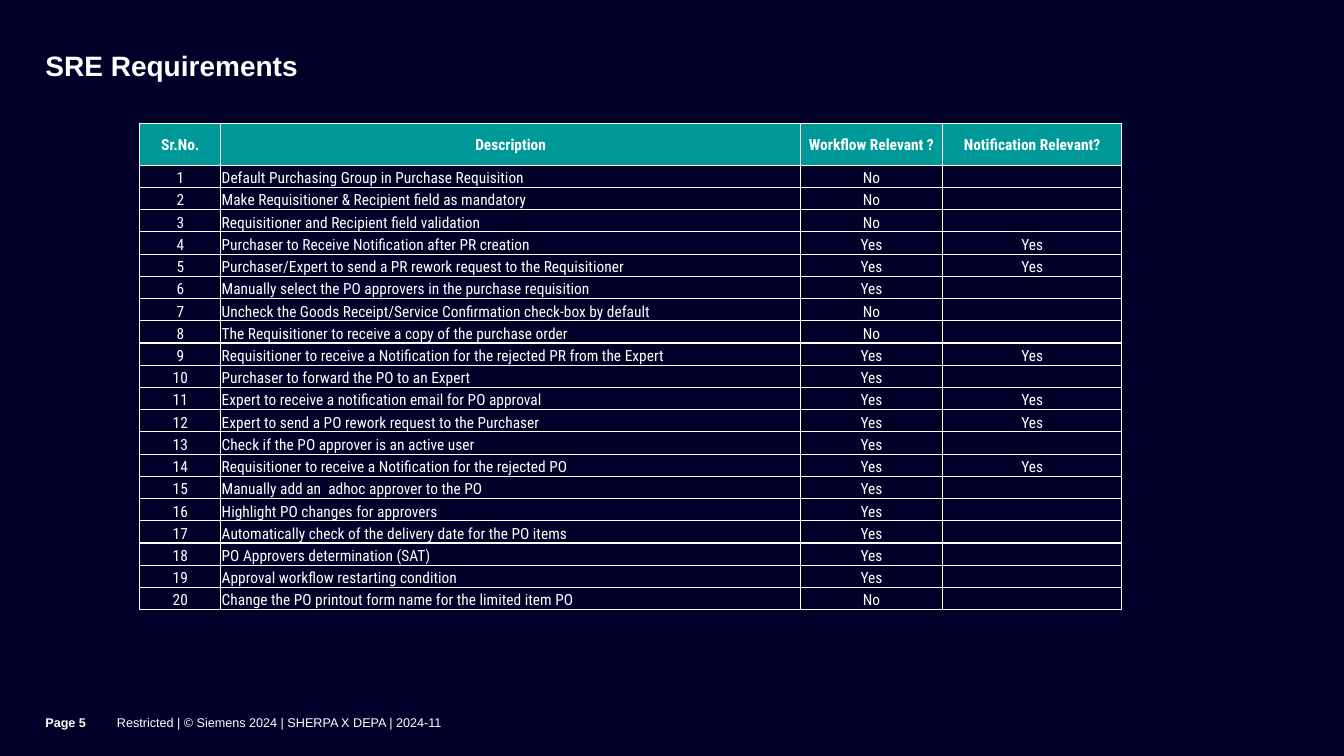
import pptx
import pptx.util
import pptx.dml.color
import pptx.enum.text
import pptx.oxml
import pptx.oxml.ns

Pt = pptx.util.Pt
RGB = pptx.dml.color.RGBColor
ALIGN = pptx.enum.text.PP_ALIGN
ANCHOR = pptx.enum.text.MSO_ANCHOR

# Content
TITLE = "SRE Requirements"
PAGE = "Page 5"
FOOTER = "Restricted | © Siemens 2024 | SHERPA X DEPA | 2024-11"
HEADS = ("Sr.No.", "Description", "Workflow Relevant ?", "Notification Relevant?")
ITEMS = [
    ("Default Purchasing Group in Purchase Requisition", "No", ""),
    ("Make Requisitioner & Recipient field as mandatory", "No", ""),
    ("Requisitioner and Recipient field validation", "No", ""),
    ("Purchaser to Receive Notification after PR creation", "Yes", "Yes"),
    ("Purchaser/Expert to send a PR rework request to the Requisitioner", "Yes", "Yes"),
    ("Manually select the PO approvers in the purchase requisition", "Yes", ""),
    ("Uncheck the Goods Receipt/Service Confirmation check-box by default", "No", ""),
    ("The Requisitioner to receive a copy of the purchase order", "No", ""),
    ("Requisitioner to receive a Notification for the rejected PR from the Expert", "Yes", "Yes"),
    ("Purchaser to forward the PO to an Expert", "Yes", ""),
    ("Expert to receive a notification email for PO approval", "Yes", "Yes"),
    ("Expert to send a PO rework request to the Purchaser", "Yes", "Yes"),
    ("Check if the PO approver is an active user", "Yes", ""),
    ("Requisitioner to receive a Notification for the rejected PO", "Yes", "Yes"),
    ("Manually add an  adhoc approver to the PO", "Yes", ""),
    ("Highlight PO changes for approvers", "Yes", ""),
    ("Automatically check of the delivery date for the PO items", "Yes", ""),
    ("PO Approvers determination (SAT)", "Yes", ""),
    ("Approval workflow restarting condition", "Yes", ""),
    ("Change the PO printout form name for the limited item PO", "No", ""),
]

# Style
NAVY = RGB(0x00, 0x00, 0x28)
TEAL = RGB(0x00, 0x99, 0x99)
WHITE = RGB(0xFF, 0xFF, 0xFF)
WIDTHS = (57.9, 414, 101.5, 128.1)
HEAD_H, ROW_H = 29.6, 15.88
LEFT, TOP = 99.9, 88.4
EDGE = 32.4


def style(para, size, face, bold):
    font = para.font
    font.size, font.name, font.bold = Pt(size), face, bold
    font.color.rgb = WHITE


def label(slide, text, box, size, bold, anchor, pads):
    frame = slide.shapes.add_textbox(*map(Pt, box)).text_frame
    frame.word_wrap = True
    frame.vertical_anchor = anchor
    frame.margin_left = frame.margin_top = 0
    frame.margin_right, frame.margin_bottom = map(Pt, pads)
    frame.text = text
    para = frame.paragraphs[0]
    style(para, size, "Arial", bold)
    return para


def border(cell):
    props = cell._tc.get_or_add_tcPr()
    for at, side in enumerate(("lnL", "lnR", "lnT", "lnB")):
        props.insert(at, pptx.oxml.parse_xml(
            f'<a:{side} {pptx.oxml.ns.nsdecls("a")} w="12700"><a:solidFill>'
            f'<a:srgbClr val="{WHITE}"/></a:solidFill></a:{side}>'))


def fill_cell(cell, text, head, align):
    cell.margin_left = cell.margin_right = cell.margin_top = Pt(0.6)
    cell.margin_bottom = 0
    cell.vertical_anchor = ANCHOR.MIDDLE if head else ANCHOR.BOTTOM
    if head:
        cell.fill.solid()
        cell.fill.fore_color.rgb = TEAL
    else:
        cell.fill.background()
    border(cell)
    para = cell.text_frame.paragraphs[0]
    para.alignment = align
    style(para, 11, "Roboto Condensed", head)
    if text:
        para.text = text
    else:
        # Keep empty cells from stretching their row
        para._p.get_or_add_endParaRPr().set("sz", "1100")


def main():
    deck = pptx.Presentation()
    deck.slide_width, deck.slide_height = Pt(960), Pt(540)
    slide = deck.slides.add_slide(deck.slide_layouts[6])
    back = slide.background.fill
    back.solid()
    back.fore_color.rgb = NAVY

    # Title and footer
    title = label(slide, TITLE, (EDGE, 37.4, 776.9, 45.4), 20, True,
                  ANCHOR.TOP, (25.2, 1.4))
    title.line_spacing = 0.9
    label(slide, FOOTER, (83.5, 496.8, 725.8, 43.2), 9, False, ANCHOR.MIDDLE, (0, 5))
    label(slide, PAGE, (EDGE, 496.8, 51.1, 43.2), 9, True, ANCHOR.MIDDLE, (0, 5))

    # Requirements table
    rows = [HEADS] + [(str(n), *item) for n, item in enumerate(ITEMS, 1)]
    high = HEAD_H + ROW_H * len(ITEMS)
    table = slide.shapes.add_table(len(rows), len(HEADS), Pt(LEFT), Pt(TOP),
                                   Pt(sum(WIDTHS)), Pt(high)).table
    table.horz_banding = False
    for col, width in zip(table.columns, WIDTHS):
        col.width = Pt(width)
    for r, row in enumerate(rows):
        head = r == 0
        table.rows[r].height = Pt(HEAD_H if head else ROW_H)
        for c, text in enumerate(row):
            align = ALIGN.LEFT if c == 1 and not head else ALIGN.CENTER
            fill_cell(table.cell(r, c), text, head, align)

    deck.save("out.pptx")


if __name__ == "__main__":
    main()
